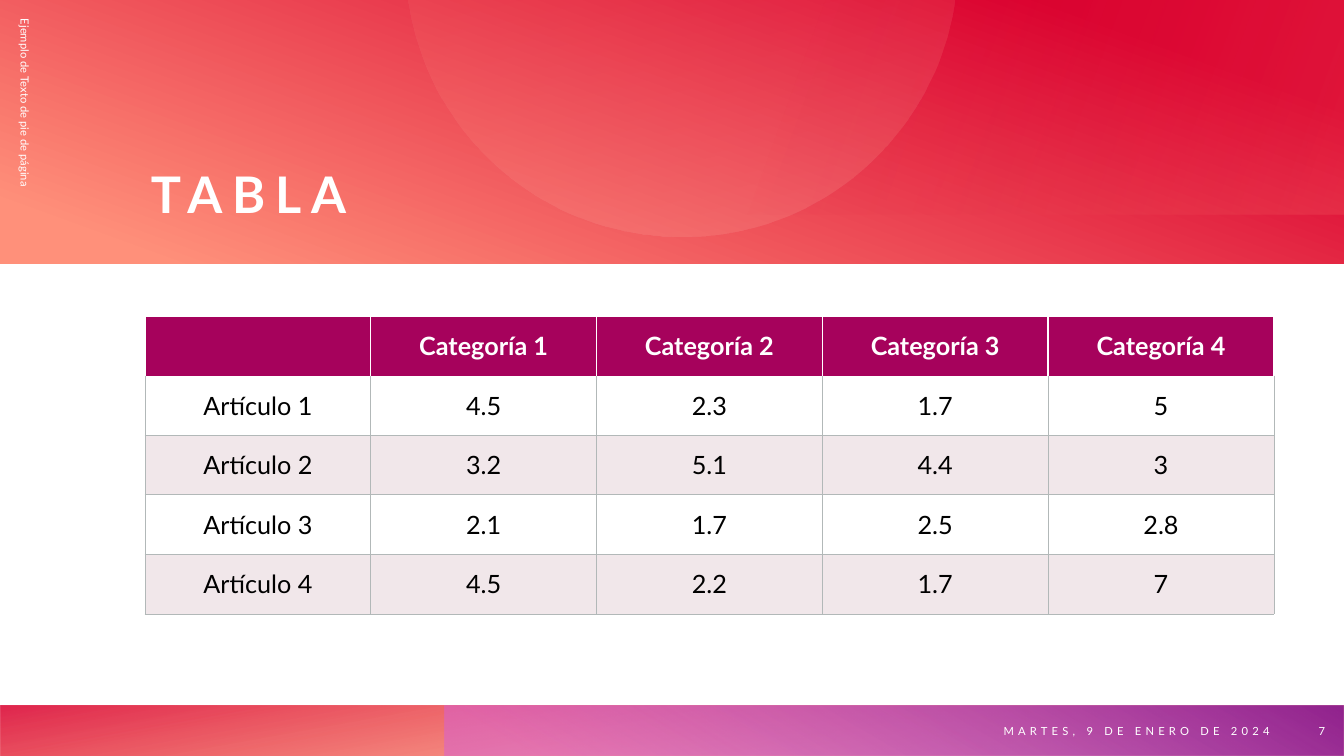
from math import cos, sin, radians
from lxml.etree import SubElement as Sub
from pptx import Presentation
from pptx.dml.color import RGBColor as Rgb
from pptx.enum.shapes import MSO_SHAPE as Kind
from pptx.enum.text import MSO_ANCHOR as Anchor, PP_ALIGN as Align
from pptx.oxml.ns import qn
from pptx.util import Emu, Pt

WIDE, HIGH = 1344, 756
UNIT = 12192000 / WIDE
FONT = "Lato"
PLAIN = "{2D5ABB26-0587-4C30-8999-92F81FD0307C}"
HUE = {
    "white": "FFFFFF", "black": "000000", "grey": "B2B8B8",
    "wine": "A6025C", "blush": "F1E7EA", "peach": "FF907A",
    "pale": "FFBCAF", "red": "DA002F", "flame": "FE4A00",
    "pink": "D861D4", "plum": "92248E",
}
HEAD = ["", "Categoría 1", "Categoría 2", "Categoría 3", "Categoría 4"]
ROWS = [
    ["Artículo 1", "4.5", "2.3", "1.7", "5"],
    ["Artículo 2", "3.2", "5.1", "4.4", "3"],
    ["Artículo 3", "2.1", "1.7", "2.5", "2.8"],
    ["Artículo 4", "4.5", "2.2", "1.7", "7"],
]


def px(num):
    return Emu(round(num * UNIT))


def tint(name):
    return Rgb.from_string(HUE[name])


def write(frame, text, size=8, color="white", bold=False, gap=0, align=Align.LEFT):
    para = frame.paragraphs[0]
    para.alignment = align
    run = para.add_run()
    run.text = text
    font = run.font
    font.name, font.size, font.bold = FONT, Pt(size), bold
    font.color.rgb = tint(color)
    if gap:
        run._r.get_or_add_rPr().set("spc", str(gap * 100))


def label(slide, box, text, turn=0, anchor=Anchor.MIDDLE, inset=True, **form):
    item = slide.shapes.add_textbox(*map(px, box))
    item.rotation = turn
    frame = item.text_frame
    frame.word_wrap = True
    frame.vertical_anchor = anchor
    if not inset:
        frame.margin_left = frame.margin_right = 0
        frame.margin_top = frame.margin_bottom = 0
    write(frame, text, **form)


def shade(shape, angle, *stops):
    shape.shadow.inherit = False
    shape.line.fill.background()
    shape.fill.gradient()
    shape.fill.gradient_angle = (360 - angle) % 360
    for stop, (place, name, alpha) in zip(shape.fill.gradient_stops, stops):
        stop.position = place / 100
        stop.color.rgb = tint(name)
        if alpha < 100:
            Sub(stop._gs[0], qn("a:alpha")).set("val", str(alpha * 1000))


def panel(slide, box, angle, *stops, turn=0):
    shape = slide.shapes.add_shape(Kind.RECTANGLE, *map(px, box))
    shape.rotation = turn
    shape._element.spPr.xfrm.set("flipH", "1")
    shade(shape, angle, *stops)


def disc(slide, mid, top, wide, deep):
    half = wide / 2
    size = (half ** 2 + deep ** 2) / (2 * deep)
    rise = top + deep - size
    dots = []
    for deg in range(0, 181, 2):
        level = rise + size * sin(radians(deg))
        if level > top:
            dots.append((px(mid + size * cos(radians(deg))), px(level)))
    dots = [(px(mid + half), px(top)), *dots, (px(mid - half), px(top))]
    form = slide.shapes.build_freeform(*dots[0])
    form.add_line_segments(dots[1:], close=True)
    shade(form.convert_to_shape(), 77, (0, "peach", 12), (100, "pale", 20))


def banner(slide, x, y, w, h):
    panel(slide, (x, y, w, h), 70, (8, "peach", 100), (86, "red", 100), turn=180)
    disc(slide, x + 682, y + 1, 546, 236)
    panel(slide, (x + 448, y, w - 449, h - 49), 340, (0, "peach", 16), (62, "red", 0))
    label(slide, (x + 151, y + 88, 1129, 136), "TABLA", anchor=Anchor.BOTTOM,
          inset=False, size=36, bold=True, gap=7)
    label(slide, (x - 202, y + 211, 454, 50), "Ejemplo de Texto de pie de página", turn=90)


def edge(cell, sides, name, width):
    props = cell._tc.get_or_add_tcPr()
    for side in sides:
        line = Sub(props, qn("a:ln" + side), w=str(Pt(width)))
        Sub(Sub(line, qn("a:solidFill")), qn("a:srgbClr"), val=HUE[name])


def grid(slide, x, y, w, h):
    data = [HEAD, *ROWS]
    frame = slide.shapes.add_table(len(data), len(HEAD), *map(px, (x, y, w, h)))
    table = frame.table
    table.first_row = table.horz_banding = False
    table._tbl.tblPr.find(qn("a:tableStyleId")).text = PLAIN
    for i, row in enumerate(data):
        top = i == 0
        for j, text in enumerate(row):
            cell = table.cell(i, j)
            cell.vertical_anchor = Anchor.MIDDLE
            if top:
                edge(cell, "LRT", "white", 1)
            else:
                edge(cell, "LRB", "grey", 0.5)
            if i % 2:
                cell.fill.background()
            else:
                cell.fill.solid()
                cell.fill.fore_color.rgb = tint("wine" if top else "blush")
            write(cell.text_frame, text, size=18, bold=top,
                  color="white" if top else "black", align=Align.CENTER)


def footer(slide, x, y, w, h):
    panel(slide, (x, y, w, h), 100, (14, "flame", 28), (100, "red", 85), turn=180)
    panel(slide, (x + 445, y, w - 445, h), 240, (9, "pink", 55), (99, "plum", 100))
    label(slide, (x + 872, y, 408, h), "MARTES, 9 DE ENERO DE 2024", gap=3, align=Align.RIGHT)
    label(slide, (x + 1286, y, 49, h), "7", align=Align.RIGHT)


def main():
    deck = Presentation()
    deck.slide_width, deck.slide_height = px(WIDE), px(HIGH)
    slide = deck.slides.add_slide(deck.slide_layouts[6])
    footer(slide, 0, HIGH - 50, WIDE, 50)
    banner(slide, 0, 0, WIDE, 264)
    grid(slide, 145, 316, 1129, 298)
    deck.save("out.pptx")


if __name__ == "__main__":
    main()
